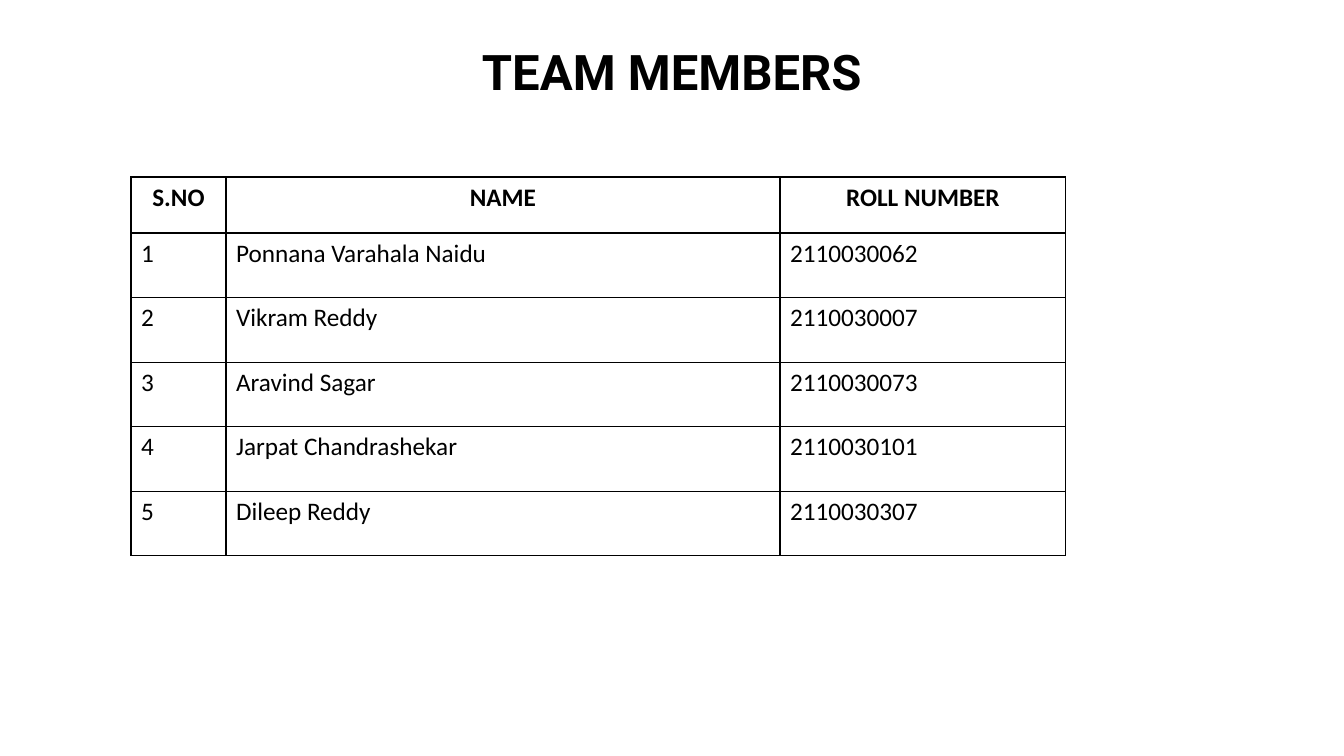
import pptx
import pptx.dml.color
import pptx.enum.text
import pptx.oxml
import pptx.oxml.ns
import pptx.util

EMU_PER_PX = 914400 / 100.8
BLACK = "000000"
WHITE = "FFFFFF"
ALIGN = pptx.enum.text.PP_ALIGN

TITLE_FORMAT = {"name": "Roboto", "size": pptx.util.Pt(35), "bold": True}
HEADER_FORMAT = {"name": "Calibri", "size": pptx.util.Pt(18), "bold": True}
BODY_FORMAT = {**HEADER_FORMAT, "bold": False}

COLUMN_WIDTHS = [95, 554, 286]
HEADER_HEIGHT = 56
BODY_HEIGHT = 323
HEADINGS = ["S.NO", "NAME", "ROLL NUMBER"]
MEMBERS = [
    ("Ponnana Varahala Naidu", "2110030062"),
    ("Vikram Reddy", "2110030007"),
    ("Aravind Sagar", "2110030073"),
    ("Jarpat Chandrashekar", "2110030101"),
    ("Dileep Reddy", "2110030307"),
]


def px(length):
    return pptx.util.Emu(round(length * EMU_PER_PX))


def color(hex_string):
    return pptx.dml.color.RGBColor.from_string(hex_string)


def write_text(text_frame, text, font_format, alignment):
    paragraph = text_frame.paragraphs[0]
    paragraph.alignment = alignment
    run = paragraph.add_run()
    run.text = text
    for name, value in font_format.items():
        setattr(run.font, name, value)
    run.font.color.rgb = color(BLACK)


def add_title(slide, text, left, top, width, height):
    text_frame = slide.shapes.add_textbox(px(left), px(top), px(width), px(height)).text_frame
    text_frame.word_wrap = True
    text_frame.margin_top = px(9)
    write_text(text_frame, text, TITLE_FORMAT, ALIGN.CENTER)


def style_cell(cell):
    """Give the cell a white fill and a thin black border on each side."""
    cell.fill.solid()
    cell.fill.fore_color.rgb = color(WHITE)
    properties = cell._tc.get_or_add_tcPr()
    namespace = pptx.oxml.ns.nsdecls("a")
    for position, side in enumerate(["lnL", "lnR", "lnT", "lnB"]):
        border = pptx.oxml.parse_xml(
            f'<a:{side} {namespace} w="{pptx.util.Pt(1)}"><a:solidFill>'
            f'<a:srgbClr val="{BLACK}"/></a:solidFill></a:{side}>'
        )
        properties.insert(position, border)


def add_member_table(slide, left, top):
    rows = [HEADINGS]
    rows += [(str(number), *member) for number, member in enumerate(MEMBERS, 1)]
    table = slide.shapes.add_table(
        len(rows), len(HEADINGS), px(left), px(top),
        px(sum(COLUMN_WIDTHS)), px(HEADER_HEIGHT + BODY_HEIGHT),
    ).table
    table.horz_banding = False
    for column, width in zip(table.columns, COLUMN_WIDTHS):
        column.width = px(width)
    for row_index, texts in enumerate(rows):
        is_header = row_index == 0
        table.rows[row_index].height = px(HEADER_HEIGHT if is_header else BODY_HEIGHT / len(MEMBERS))
        font_format = HEADER_FORMAT if is_header else BODY_FORMAT
        alignment = ALIGN.CENTER if is_header else ALIGN.LEFT
        for column_index, text in enumerate(texts):
            cell = table.cell(row_index, column_index)
            style_cell(cell)
            write_text(cell.text_frame, text, font_format, alignment)


def main():
    presentation = pptx.Presentation()
    presentation.slide_width = px(1344)
    presentation.slide_height = px(756)
    slide = presentation.slides.add_slide(presentation.slide_layouts[6])
    add_title(slide, "TEAM MEMBERS", 192, 33, 960, 85)
    add_member_table(slide, 131, 177)
    presentation.save("out.pptx")


if __name__ == "__main__":
    main()
